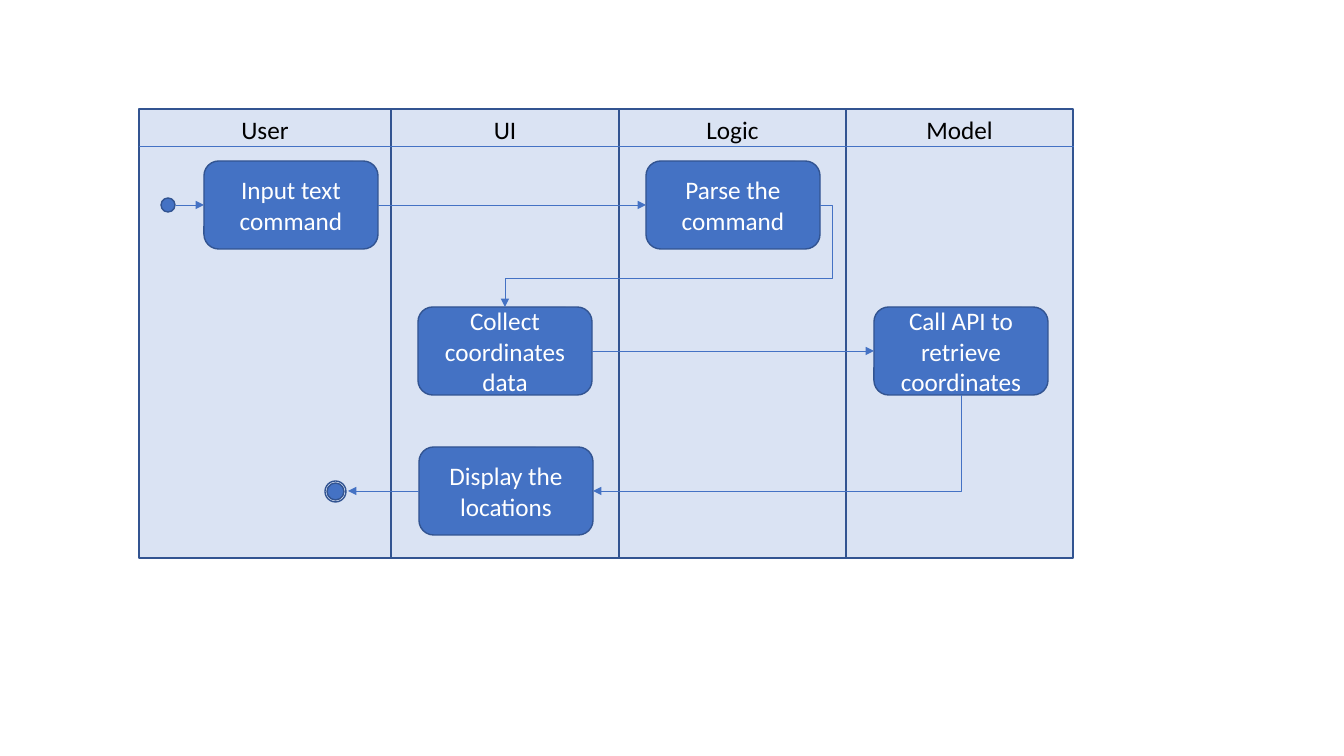
from lxml.etree import SubElement
from pptx import Presentation
from pptx.dml.color import RGBColor
from pptx.enum.shapes import MSO_CONNECTOR, MSO_SHAPE
from pptx.enum.text import MSO_ANCHOR, PP_ALIGN
from pptx.oxml.ns import qn
from pptx.util import Emu, Pt

COLORS = {
    "lane": "DAE3F3",
    "accent": "4472C4",
    "border": "325491",
    "heading": "000000",
    "label": "FFFFFF",
}
FONT = "Calibri"
TOP, LEFT, BOTTOM, RIGHT = range(4)
HEADER_HEIGHT = 37
STEP_WIDTH, STEP_HEIGHT = 174, 88


def px(length):
    return Emu(round(length * 914400 / 100.8))


def color(name):
    return RGBColor.from_string(COLORS[name])


def add_box(shapes, kind, left, top, width, height, fill):
    box = shapes.add_shape(kind, px(left), px(top), px(width), px(height))
    box.shadow.inherit = False
    if fill:
        box.fill.solid()
        box.fill.fore_color.rgb = color(fill)
    else:
        box.fill.background()
    box.line.color.rgb = color("border")
    box.line.width = Pt(1)
    return box


def write(box, text, fill, anchor):
    frame = box.text_frame
    frame.word_wrap = True
    frame.vertical_anchor = anchor
    para = frame.paragraphs[0]
    para.text = text
    para.alignment = PP_ALIGN.CENTER
    para.font.name = FONT
    para.font.size = Pt(18)
    para.font.color.rgb = color(fill)


def add_line(page, start, end, arrow=True, kind=MSO_CONNECTOR.STRAIGHT):
    points = [px(value) for value in (*start, *end)]
    line = page.shapes.add_connector(kind, *points)
    line.line.color.rgb = color("accent")
    line.line.width = Pt(0.5)
    if arrow:
        SubElement(line.line._get_or_add_ln(), qn("a:tailEnd"), type="triangle")
    SubElement(line.element.spPr, qn("a:effectLst"))
    return line


def add_elbow(page, start, end, preset, adjustments=()):
    line = add_line(page, start, end, kind=MSO_CONNECTOR.ELBOW)
    geometry = line.element.spPr.find(qn("a:prstGeom"))
    geometry.set("prst", preset)
    guides = geometry.find(qn("a:avLst"))
    for number, value in enumerate(adjustments, 1):
        SubElement(guides, qn("a:gd"), name=f"adj{number}", fmla=f"val {round(value * 100000)}")
    return line


def add_lane(page, left, top, width, height, title):
    lane = add_box(page.shapes, MSO_SHAPE.RECTANGLE, left, top, width, height, "lane")
    write(lane, title, "heading", MSO_ANCHOR.TOP)
    header = top + HEADER_HEIGHT
    add_line(page, (left, header), (left + width + 1, header), arrow=False)


def add_lanes(page, left, top, height):
    lanes = [("User", 252), ("UI", 228), ("Logic", 227), ("Model", 227)]
    right = left + sum(width for _, width in lanes)
    for title, width in reversed(lanes):
        right -= width
        add_lane(page, right, top, width, height, title)


def add_step(page, left, top, text):
    step = add_box(page.shapes, MSO_SHAPE.ROUNDED_RECTANGLE, left, top, STEP_WIDTH, STEP_HEIGHT, "accent")
    write(step, text, "label", MSO_ANCHOR.MIDDLE)
    return step


def add_end_node(page, left, top, size, inset):
    node = page.shapes.add_group_shape()
    core = size - 2 * inset
    add_box(node.shapes, MSO_SHAPE.OVAL, left + inset, top + inset, core, core, "accent")
    add_box(node.shapes, MSO_SHAPE.OVAL, left, top, size, size, None)


def link_steps(page, source, target):
    line = add_line(page, (0, 0), (1, 1))
    line.begin_connect(source, RIGHT)
    line.end_connect(target, LEFT)


def add_parse_elbow(page, start, end, overshoot, turn):
    width, height = start[0] - end[0], end[1] - start[1]
    add_elbow(page, start, end, "bentConnector4", (-overshoot / width, turn / height))


def add_return_elbow(page, start, end):
    middle_x, middle_y = (start[0] + end[0]) / 2, (start[1] + end[1]) / 2
    half_width, half_height = (end[1] - start[1]) / 2, (start[0] - end[0]) / 2
    line = add_elbow(
        page,
        (middle_x - half_width, middle_y - half_height),
        (middle_x + half_width, middle_y + half_height),
        "bentConnector2",
    )
    line.element.spPr.find(qn("a:xfrm")).set("rot", str(90 * 60000))


def add_flow(page, left, top):
    first, second, third = top + 52, top + 198, top + 338
    middle = STEP_HEIGHT // 2
    enter = add_step(page, left + 65, first, "Input text command")
    parse = add_step(page, left + 507, first, "Parse the command")
    collect = add_step(page, left + 279, second, "Collect coordinates data")
    display = add_step(page, left + 280, third, "Display the locations")
    call = add_step(page, left + 735, second, "Call API to retrieve coordinates")

    add_box(page.shapes, MSO_SHAPE.OVAL, left + 22, first + middle - 7, 14, 14, "accent")
    begin = add_line(page, (left + 37, first + middle), (left + 65, first + middle))
    begin.end_connect(enter, LEFT)
    link_steps(page, enter, parse)
    add_parse_elbow(
        page,
        (left + 507 + STEP_WIDTH, first + middle),
        (left + 279 + STEP_WIDTH // 2, second),
        12,
        73,
    )
    link_steps(page, collect, call)
    add_return_elbow(
        page,
        (left + 735 + STEP_WIDTH // 2, second + STEP_HEIGHT),
        (left + 280 + STEP_WIDTH, third + middle),
    )
    add_end_node(page, left + 186, third + middle - 10, 21, 2)
    finish = add_line(page, (left + 280, third + middle), (left + 209, third + middle))
    finish.begin_connect(display, LEFT)


def main():
    deck = Presentation()
    deck.slide_width, deck.slide_height = px(1344), px(756)
    page = deck.slides.add_slide(deck.slide_layouts[6])
    add_lanes(page, 139, 109, 449)
    add_flow(page, 139, 109)
    deck.save("out.pptx")


if __name__ == "__main__":
    main()
